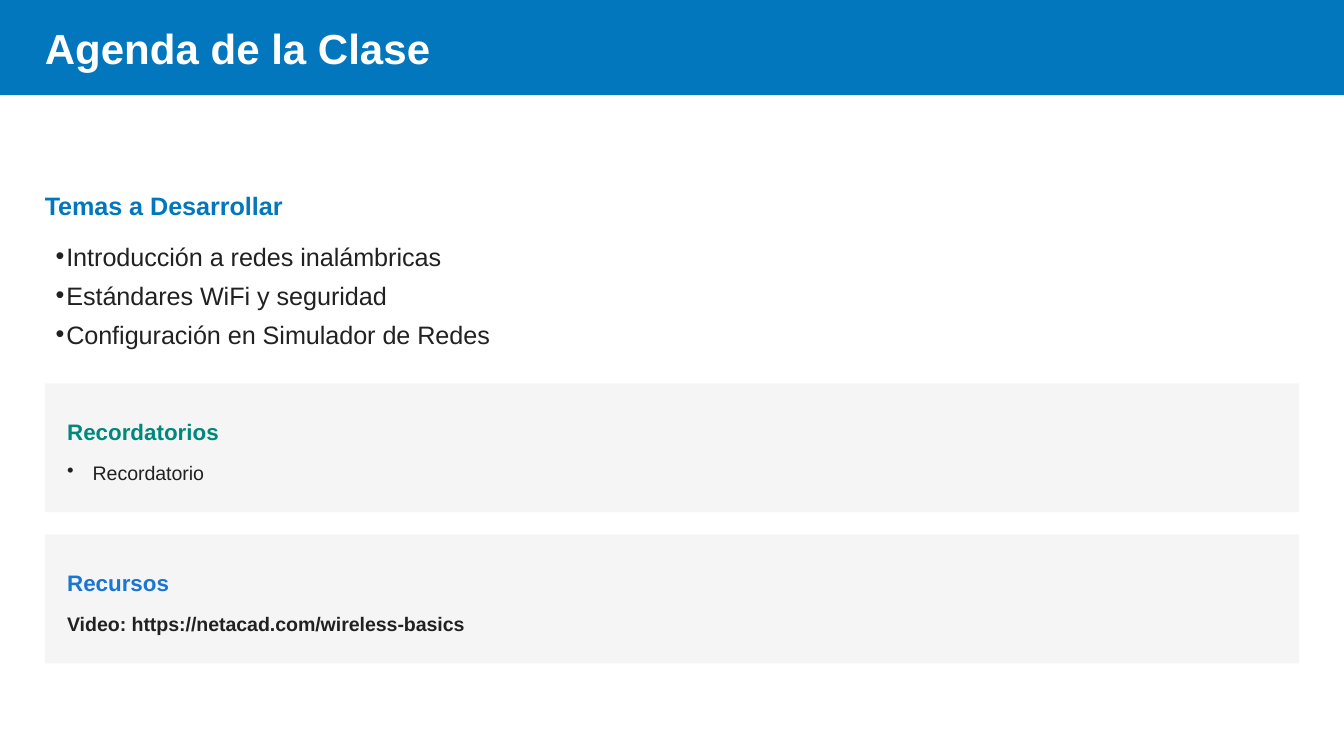
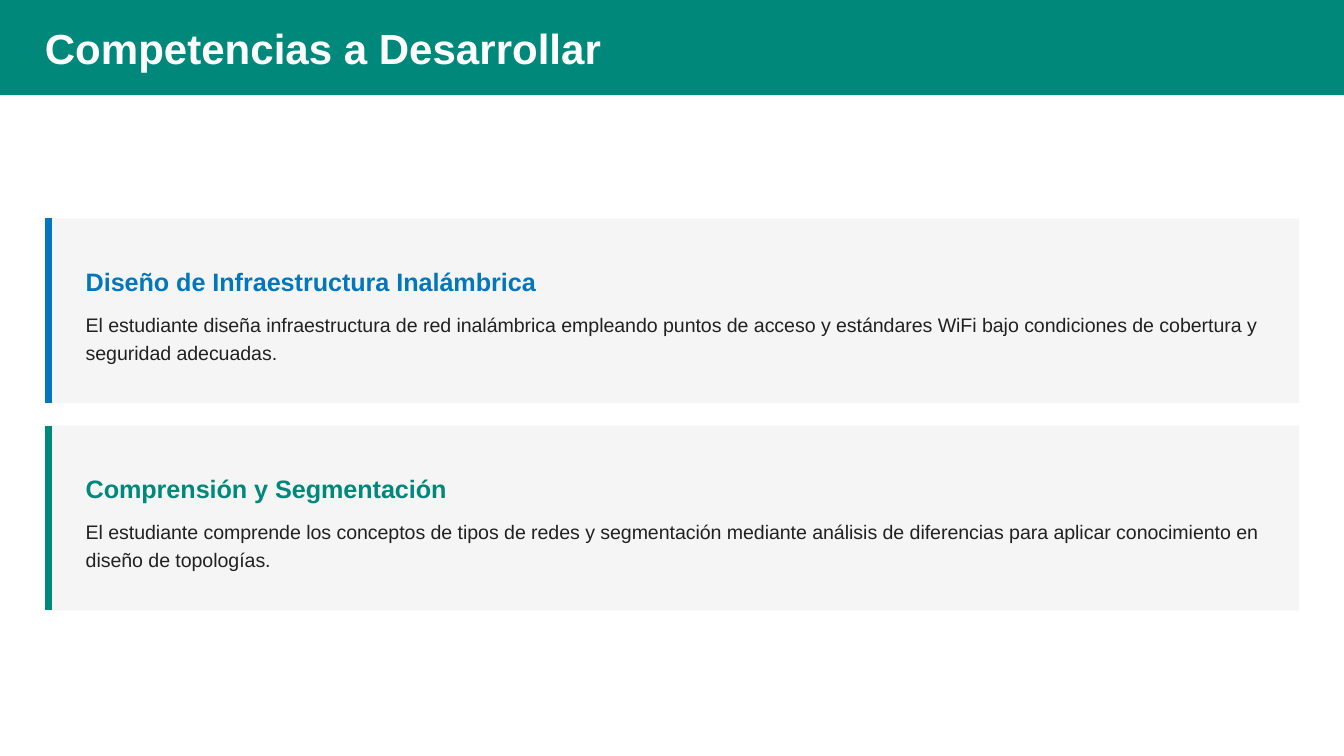
from dataclasses import dataclass

from lxml import etree
from pptx import Presentation
from pptx import util as u
from pptx.dml.color import RGBColor
from pptx.enum import shapes, text
from pptx.oxml import ns


@dataclass(frozen=True)
class Theme:
    font: str = "Arial"
    blue: str = "0277BD"
    teal: str = "00897B"
    link: str = "1976D2"
    ink: str = "212121"
    panel: str = "F5F5F5"
    white: str = "FFFFFF"
    title: float = 22.5
    large: float = 13.5
    medium: float = 12
    small: float = 10.5


THEME = Theme()
WIDTH = u.Inches(10)
HEIGHT = WIDTH * 9 // 16
COLUMNS = 60
CELL = WIDTH / COLUMNS  # square grid cell, used for columns and rows
MARGIN = 2
CONTENT = COLUMNS - 2 * MARGIN
LEADING = {THEME.title: 27, THEME.large: 21, THEME.medium: 18, THEME.small: 15}


def cells(*counts):
    return [round(count * CELL) for count in counts]


def rgb(color):
    return RGBColor.from_string(color)


def place(shape, left, top, width, height):
    shape.left, shape.top, shape.width, shape.height = cells(left, top, width, height)


def add_bullet(para, indent):
    """Give the paragraph a hanging round bullet, indent in inches."""
    props = para._p.get_or_add_pPr()
    props.set("marL", str(u.Inches(indent)))
    props.set("indent", str(-u.Inches(indent)))
    etree.SubElement(props, ns.qn("a:buChar")).set("char", "•")


def write(box, *lines, size, color=THEME.ink, bold=False, after=0, bullet=0, inset=0):
    """Fill a text box or placeholder with one paragraph per line."""
    frame = box.text_frame
    frame.word_wrap = True
    frame.auto_size = text.MSO_AUTO_SIZE.NONE
    frame.vertical_anchor = text.MSO_ANCHOR.TOP
    frame.margin_left = u.Inches(inset)
    frame.margin_top = frame.margin_right = frame.margin_bottom = 0
    for index, line in enumerate(lines):
        para = frame.add_paragraph() if index else frame.paragraphs[0]
        if bullet:
            add_bullet(para, bullet)
        para.alignment = text.PP_ALIGN.LEFT
        para.line_spacing = u.Pt(LEADING[size])
        para.space_before = u.Pt(0)
        para.space_after = u.Pt(after)
        span = para.add_run()
        span.text = line
        span.font.name = THEME.font
        span.font.size = u.Pt(size)
        span.font.bold = bold
        span.font.color.rgb = rgb(color)


def add_text(page, left, top, width, height, *lines, **style):
    box = page.shapes.add_textbox(*cells(left, top, width, height))
    write(box, *lines, **style)


def add_rectangle(page, left, top, width, height, color):
    shape = page.shapes.add_shape(
        shapes.MSO_SHAPE.RECTANGLE, *cells(left, top, width, height))
    shape.shadow.inherit = False
    shape.fill.solid()
    shape.fill.fore_color.rgb = rgb(color)
    shape.line.fill.background()
    return shape


def add_header(page, title, color):
    """Colour band across the top with the slide title over it."""
    band = add_rectangle(page, 0, 0, COLUMNS, 4.25, color)
    heading = page.shapes.title
    heading.element.addprevious(band.element)
    place(heading, MARGIN, 1, 28.6, 2.25)
    write(heading, title, size=THEME.title, color=THEME.white, bold=True)


def add_accent(page, left, top, height, color):
    """Thick vertical line just inside the left edge of a panel."""
    x, start, end = cells(left + 0.16, top, top + height)
    line = page.shapes.add_connector(shapes.MSO_CONNECTOR.STRAIGHT, x, start, x, end)
    line.line.color.rgb = rgb(color)
    line.line.width = u.Pt(3.75)
    etree.SubElement(line.element.spPr, ns.qn("a:effectLst"))


def add_note(page, top, heading, color, line, **style):
    left, width = MARGIN + 1, 55.1
    add_rectangle(page, MARGIN, top, CONTENT, 5.75, THEME.panel)
    add_text(page, left, top + 1.25, width, 1.5, heading,
             size=THEME.medium, color=color, bold=True, after=6)
    add_text(page, left, top + 3.25, width, 1.25, line,
             size=THEME.small, after=3, **style)


def add_skill(page, top, heading, color, description):
    left, width, height = MARGIN + 1.83, 53.75, 8.25
    add_rectangle(page, MARGIN, top, CONTENT, height, THEME.panel)
    add_accent(page, MARGIN, top, height, color)
    add_text(page, left, top + 1.75, width, 1.75, heading,
             size=THEME.large, color=color, bold=True, after=6)
    add_text(page, left, top + 4, width, 2.5, description, size=THEME.small, after=3)


def agenda_slide(deck):
    page = deck.slides.add_slide(deck.slide_layouts.get_by_name("Title and Content"))
    add_header(page, "Agenda de la Clase", THEME.blue)
    add_text(page, MARGIN, 8.1, 57.1, 1.75, "Temas a Desarrollar",
             size=THEME.large, color=THEME.blue, bold=True, after=6)
    topics = page.placeholders[1]
    place(topics, MARGIN, 10.35, CONTENT, 5.75)
    write(topics, "Introducción a redes inalámbricas", "Estándares WiFi y seguridad",
          "Configuración en Simulador de Redes",
          size=THEME.large, bullet=0.08, inset=0.08)
    first, step = 17.12, 6.75
    add_note(page, first, "Recordatorios", THEME.teal, "Recordatorio", bullet=0.19)
    add_note(page, first + step, "Recursos", THEME.link,
             "Video: https://netacad.com/wireless-basics", bold=True)


def skills_slide(deck):
    page = deck.slides.add_slide(deck.slide_layouts.get_by_name("Title Only"))
    add_header(page, "Competencias a Desarrollar", THEME.teal)
    skills = [
        ("Diseño de Infraestructura Inalámbrica", THEME.blue,
         "El estudiante diseña infraestructura de red inalámbrica empleando puntos de "
         "acceso y estándares WiFi bajo condiciones de cobertura y seguridad adecuadas."),
        ("Comprensión y Segmentación", THEME.teal,
         "El estudiante comprende los conceptos de tipos de redes y segmentación mediante "
         "análisis de diferencias para aplicar conocimiento en diseño de topologías."),
    ]
    for row, skill in enumerate(skills):
        add_skill(page, 9.75 + row * 9.25, *skill)


def main():
    deck = Presentation()
    deck.slide_width, deck.slide_height = WIDTH, HEIGHT
    agenda_slide(deck)
    skills_slide(deck)
    deck.save("out.pptx")


if __name__ == "__main__":
    main()
